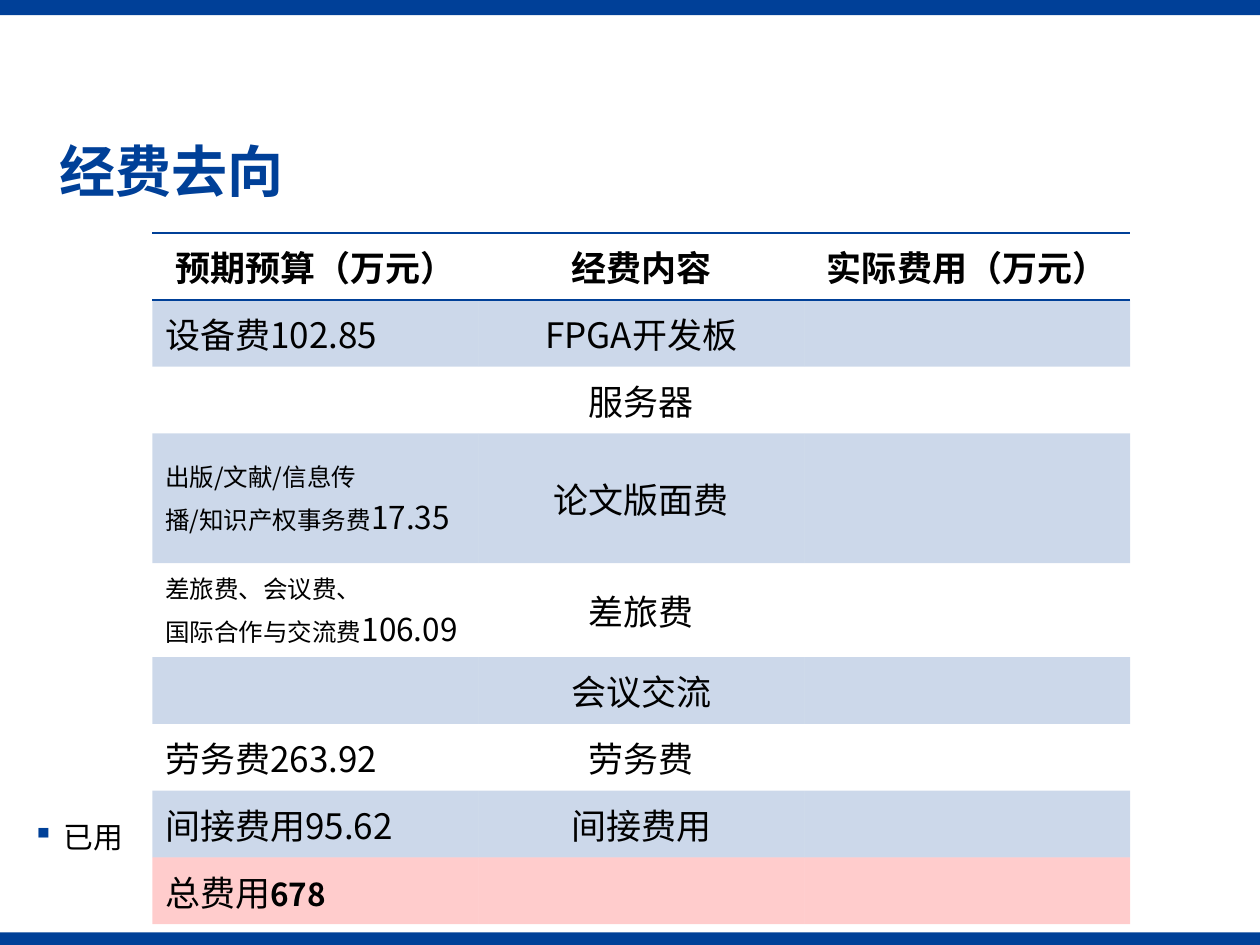
from lxml.etree import SubElement
from pptx import Presentation
from pptx.dml.color import RGBColor
from pptx.enum.shapes import MSO_SHAPE
from pptx.enum.text import MSO_ANCHOR, MSO_AUTO_SIZE, PP_ALIGN
from pptx.oxml import parse_xml
from pptx.oxml.ns import nsdecls, qn
from pptx.util import Inches, Pt

FONT = "Noto Sans CJK SC"
BLUE, RED, BLACK = "004098", "FF0000", "000000"
WIDTH, HEIGHT = 10, 7.5
NO_STYLE = "{2D5ABB26-0587-4C30-8999-92F81FD0307C}"
HEADER = ["预期预算（万元）", "经费内容", "实际费用（万元）"]
BUDGET = [
    ([[("设备费102.85", 20)]], "FPGA开发板"),
    ([], "服务器"),
    ([[("出版/文献/信息传", 14)], [("播/知识产权事务费", 14), ("17.35", 18)]], "论文版面费"),
    ([[("差旅费、会议费、", 14)], [("国际合作与交流费", 14), ("106.09", 18)]], "差旅费"),
    ([], "会议交流"),
    ([[("劳务费263.92", 20)]], "劳务费"),
    ([[("间接费用95.62", 20)]], "间接费用"),
    ([[("总费用", 20), ("678", 18, True)]], ""),
]
TALL_ROWS = (3, 4)


def rgb(color):
    return RGBColor.from_string(color)


def add_run(p, text, size, bold=False, color=BLACK):
    r = p.add_run()
    r.text = text
    r.font.size, r.font.bold, r.font.name = Pt(size), bold, FONT
    r.font.color.rgb = rgb(color)
    SubElement(r._r.get_or_add_rPr(), qn("a:ea")).set("typeface", FONT)


def add_bar(s, top, height):
    sp = s.shapes.add_shape(MSO_SHAPE.RECTANGLE, 0, Inches(top), Inches(WIDTH), Inches(height))
    sp.shadow.inherit = False
    sp.fill.solid()
    sp.fill.fore_color.rgb = rgb(BLUE)
    sp.line.fill.background()


def add_title(s, text):
    sp = s.shapes.title
    sp.left, sp.top, sp.width, sp.height = map(Inches, (0.37, 1.07, 7.77, 0.63))
    tf = sp.text_frame
    tf.auto_size = MSO_AUTO_SIZE.NONE
    tf.vertical_anchor = MSO_ANCHOR.MIDDLE
    p = tf.paragraphs[0]
    p.alignment, p.line_spacing = PP_ALIGN.LEFT, 0.9
    add_run(p, text, 32, True, BLUE)


def add_bullet_text(s, text):
    sp = s.shapes.add_textbox(*map(Inches, (0.16, 6.45, 9.16, 0.39)))
    tf = sp.text_frame
    tf.word_wrap = True
    p = tf.paragraphs[0]
    pPr = p._p.get_or_add_pPr()
    pPr.set("marL", str(Inches(0.25)))
    pPr.set("indent", str(-Inches(0.25)))
    SubElement(SubElement(pPr, qn("a:buClr")), qn("a:srgbClr")).set("val", BLUE)
    SubElement(pPr, qn("a:buChar")).set("char", "▪")
    add_run(p, text, 17)


def fill_cell(cell, color):
    if color is None:
        cell.fill.background()
        return
    cell.fill.solid()
    cell.fill.fore_color.rgb = rgb(color)
    clr = cell._tc.tcPr.find(".//" + qn("a:srgbClr"))
    SubElement(clr, qn("a:alpha")).set("val", "20000")


def rule_cell(cell):
    tcPr = cell._tc.get_or_add_tcPr()
    for i, side in enumerate(("lnT", "lnB")):
        tcPr.insert(i, parse_xml(
            f'<a:{side} {nsdecls("a")} w="{Pt(1)}"><a:solidFill>'
            f'<a:srgbClr val="{BLUE}"/></a:solidFill></a:{side}>'))


def write_cell(cell, lines, align, color):
    cell.vertical_anchor = MSO_ANCHOR.MIDDLE
    tf = cell.text_frame
    for i, runs in enumerate(lines):
        p = tf.add_paragraph() if i else tf.paragraphs[0]
        p.alignment = align
        for run in runs:
            add_run(p, *run)
    fill_cell(cell, color)


def add_budget_table(s):
    rows, cols = len(BUDGET) + 1, len(HEADER)
    frame = s.shapes.add_table(rows, cols, *map(Inches, (1.21, 1.85, 7.76, 4.89)))
    tbl = frame.table
    tbl.first_row = tbl.horz_banding = False
    tbl._tbl.tblPr.find(qn("a:tableStyleId")).text = NO_STYLE
    for i, row in enumerate(tbl.rows):
        row.height = Inches(0.59 if i in TALL_ROWS else 0.53)
    for c, text in enumerate(HEADER):
        write_cell(tbl.cell(0, c), [[(text, 20, True)]], PP_ALIGN.CENTER, None)
        rule_cell(tbl.cell(0, c))
    for i, (planned, item) in enumerate(BUDGET, 1):
        color = RED if i == rows - 1 else BLUE if i % 2 else None
        write_cell(tbl.cell(i, 0), planned, PP_ALIGN.LEFT, color)
        write_cell(tbl.cell(i, 1), [[(item, 20)]] if item else [], PP_ALIGN.CENTER, color)
        write_cell(tbl.cell(i, 2), [], PP_ALIGN.CENTER, color)


def main():
    prs = Presentation()
    prs.slide_width, prs.slide_height = Inches(WIDTH), Inches(HEIGHT)
    s = prs.slides.add_slide(prs.slide_layouts[5])
    add_bar(s, HEIGHT - 0.1, 0.1)
    add_bar(s, 0, 0.12)
    add_title(s, "经费去向")
    add_budget_table(s)
    add_bullet_text(s, "已用")
    prs.save("out.pptx")


if __name__ == "__main__":
    main()
